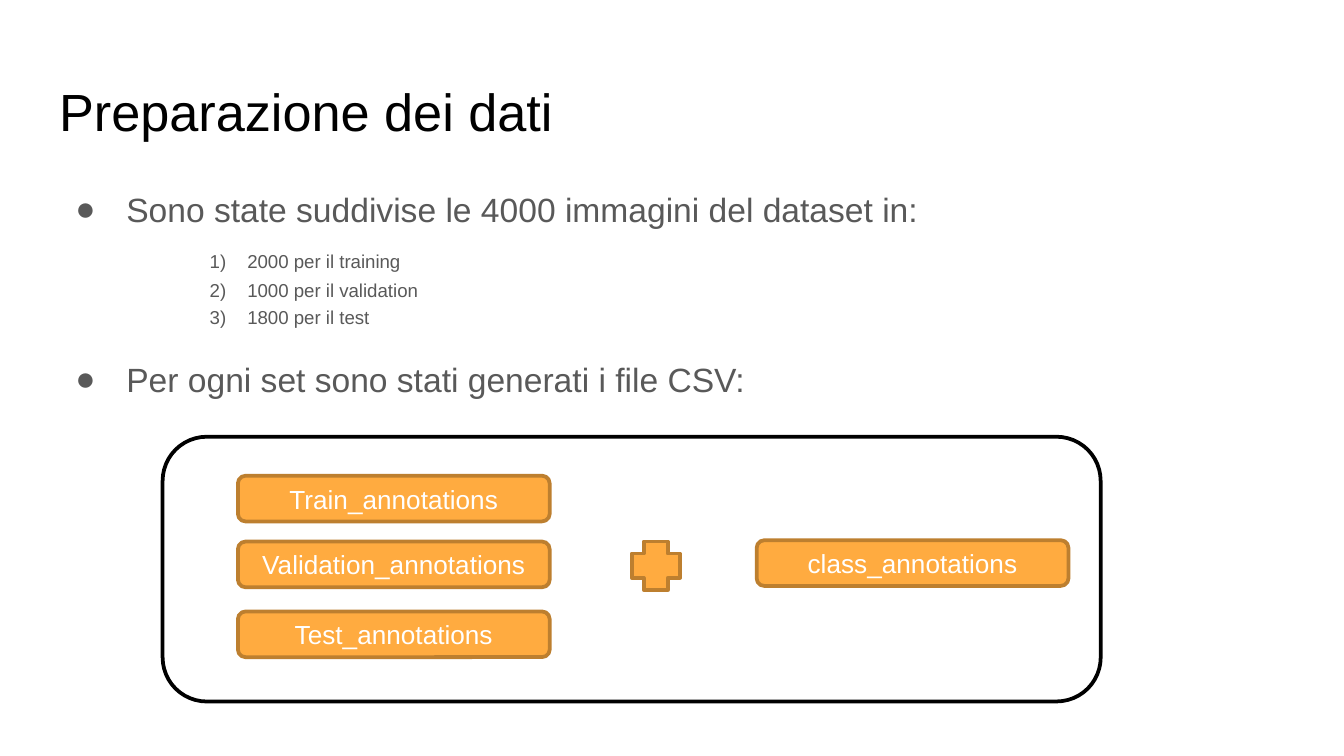
from lxml.etree import SubElement
from pptx import Presentation
from pptx.dml.color import RGBColor
from pptx.enum.shapes import MSO_SHAPE as Shape
from pptx.enum.text import MSO_ANCHOR as Anchor, MSO_AUTO_SIZE as AutoSize, PP_ALIGN as Align
from pptx.oxml.ns import qn
from pptx.util import Inches, Pt

BLACK = RGBColor(0x00, 0x00, 0x00)
WHITE = RGBColor(0xFF, 0xFF, 0xFF)
GREY = RGBColor(0x59, 0x59, 0x59)
ORANGE = RGBColor(0xFF, 0xAB, 0x40)
BROWN = RGBColor(0xBD, 0x7F, 0x2F)

# Content
TITLE = "Preparazione dei dati"
BODY = [  # level, text, space before in points
    ("bullet", "Sono state suddivise le 4000 immagini del dataset in:", 0),
    ("number", "2000 per il training", 9.5),
    ("number", "1000 per il validation", 1.5),
    ("number", "1800 per il test", 0.5),
    ("bullet", "Per ogni set sono stati generati i file CSV:", 13.5),
]
LEVELS = {  # size, left margin, hanging indent, bullet tag and attributes
    "bullet": (18, 0.5, -0.38, "a:buChar", {"char": "●"}),
    "number": (10, 1.4, -0.28, "a:buAutoNum", {"type": "arabicParenR"}),
}
LABEL_SIZE = (2.32, 0.34)
LABELS = [
    ("Train_annotations", 1.77, 3.54),
    ("Validation_annotations", 1.77, 4.03),
    ("Test_annotations", 1.77, 4.55),
    ("class_annotations", 5.63, 4.02),
]


def set_all(target, values):
    for name, value in values.items():
        setattr(target, name, value)


def style_font(para, size, color):
    set_all(para.font, {"name": "Arial", "size": Pt(size)})
    para.font.color.rgb = color


def place(holder, left, top, width, height):
    set_all(holder, {"left": Inches(left), "top": Inches(top),
                     "width": Inches(width), "height": Inches(height)})
    margins = ("margin_left", "margin_right", "margin_top", "margin_bottom")
    set_all(holder.text_frame, dict.fromkeys(margins, Inches(0.1)))
    set_all(holder.text_frame, {"vertical_anchor": Anchor.TOP, "word_wrap": True,
                                "auto_size": AutoSize.NONE})
    return holder.text_frame


def add_bullet(para, left, indent, tag, attributes):
    props = para._p.get_or_add_pPr()
    props.set("marL", str(Inches(left)))
    props.set("indent", str(Inches(indent)))
    color = SubElement(props, qn("a:buClr"))
    SubElement(color, qn("a:srgbClr"), val=str(GREY))
    SubElement(props, qn("a:buFont"), typeface="Arial")
    SubElement(props, qn(tag), **attributes)


def add_box(page, kind, left, top, width, height, fill, line):
    box = page.shapes.add_shape(kind, Inches(left), Inches(top), Inches(width), Inches(height))
    box.shadow.inherit = False
    box.fill.solid()
    box.fill.fore_color.rgb = fill
    box.line.color.rgb = line
    box.line.width = Pt(2)
    return box


def main():
    # A 16:9 page
    deck = Presentation()
    set_all(deck, {"slide_width": Inches(10), "slide_height": Inches(10) * 9 // 16})
    page = deck.slides.add_slide(deck.slide_layouts[1])

    # Title
    frame = place(page.shapes.title, 0.34, 0.49, 9.32, 0.63)
    frame.text = TITLE
    para = frame.paragraphs[0]
    para.alignment = Align.LEFT
    style_font(para, 28, BLACK)

    # Bulleted and numbered list
    frame = place(page.placeholders[1], 0.34, 1.26, 9.32, 3.74)
    for index, (level, text, before) in enumerate(BODY):
        size, *bullet = LEVELS[level]
        para = frame.add_paragraph() if index else frame.paragraphs[0]
        para.text = text
        add_bullet(para, *bullet)
        set_all(para, {"line_spacing": 1.15, "space_before": Pt(before)})
        style_font(para, size, GREY)

    # Frame around the CSV files
    add_box(page, Shape.ROUNDED_RECTANGLE, 1.21, 3.25, 6.98, 1.97, WHITE, BLACK)

    # CSV files and the plus sign
    for text, left, top in LABELS:
        box = add_box(page, Shape.ROUNDED_RECTANGLE, left, top, *LABEL_SIZE, ORANGE, BROWN)
        box.text_frame.text = text
        box.text_frame.vertical_anchor = Anchor.MIDDLE
        para = box.text_frame.paragraphs[0]
        para.alignment = Align.CENTER
        style_font(para, 14, WHITE)
    add_box(page, Shape.CROSS, 4.7, 4.03, 0.36, 0.36, ORANGE, BROWN)

    deck.save("out.pptx")


if __name__ == "__main__":
    main()
